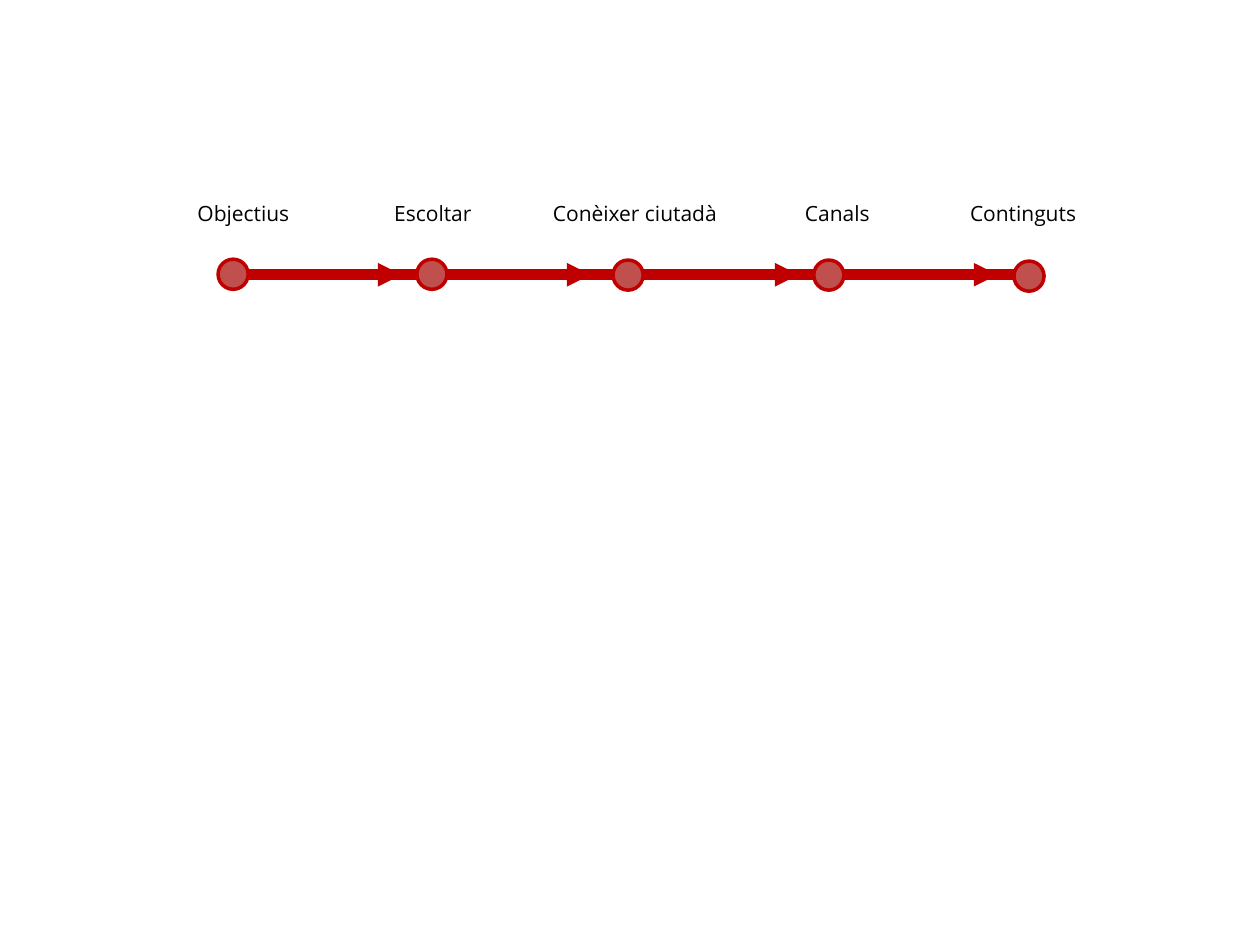
from lxml import etree
from pptx import Presentation
from pptx.dml.color import RGBColor
from pptx.enum import shapes as sh, text as tx
from pptx.oxml import ns
from pptx.util import Pt

RED = RGBColor(0xC0, 0x00, 0x00)
ROSE = RGBColor(0xC0, 0x50, 0x4D)
BLACK = RGBColor(0, 0, 0)
AXIS = 157
SIZE = 17.2
REACH = 74

STEPS = [
    ("Objectius", 105.8, 72, 133.2, 156.7),
    ("Escoltar", 218.2, 62.6, 246.8, 156.7),
    ("Conèixer ciutadà", 308.9, 119.5, 358.9, 157.2),
    ("Canals", 452.9, 54.7, 473.6, 157.2),
    ("Continguts", 547.2, 80.6, 588, 157.8),
]
STARTS = [155.5, 263.5, 382.4, 496]


def label(slide, words, left, width):
    box = slide.shapes.add_textbox(Pt(left), Pt(110.9), Pt(width), Pt(21.6))
    frame = box.text_frame
    frame.word_wrap = False
    frame.auto_size = tx.MSO_AUTO_SIZE.SHAPE_TO_FIT_TEXT
    para = frame.paragraphs[0]
    para.text = words
    para.font.name = "Open Sans"
    para.font.size = Pt(12)
    para.font.color.rgb = BLACK


def line(slide, start, end, width, arrow=False):
    link = slide.shapes.add_connector(
        sh.MSO_CONNECTOR.STRAIGHT, Pt(start), Pt(AXIS), Pt(end), Pt(AXIS))
    link.line.color.rgb = RED
    link.line.width = Pt(width)
    if arrow:
        tail = etree.SubElement(link.line._get_or_add_ln(), ns.qn("a:tailEnd"))
        tail.set("type", "triangle")
    etree.SubElement(link._element.spPr, ns.qn("a:effectLst"))


def dot(slide, x, y):
    disc = slide.shapes.add_shape(
        sh.MSO_SHAPE.OVAL, Pt(x - SIZE / 2), Pt(y - SIZE / 2), Pt(SIZE), Pt(SIZE))
    disc.shadow.inherit = False
    disc.fill.solid()
    disc.fill.fore_color.rgb = ROSE
    disc.line.color.rgb = RED
    disc.line.width = Pt(2)


def main():
    deck = Presentation()
    deck.slide_width, deck.slide_height = Pt(720), Pt(540)
    slide = deck.slides.add_slide(deck.slide_layouts[6])
    for words, left, width, _, _ in STEPS:
        label(slide, words, left, width)
    line(slide, STEPS[0][3], STEPS[-1][3], 6)
    for *_, x, y in STEPS:
        dot(slide, x, y)
    for start in STARTS:
        line(slide, start, start + REACH, 4.5, arrow=True)
    deck.save("out.pptx")


if __name__ == "__main__":
    main()
